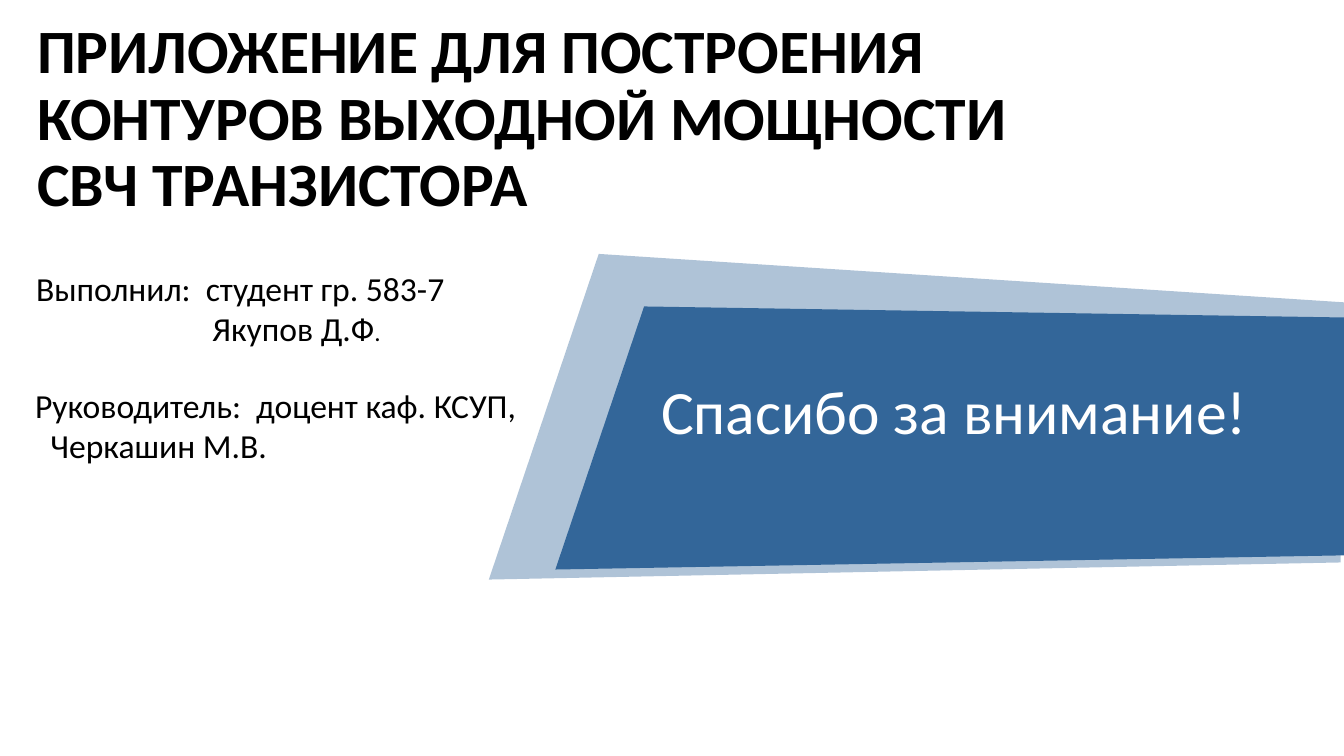
from lxml.etree import SubElement
from pptx import Presentation
from pptx.dml.color import RGBColor
from pptx.enum.text import MSO_ANCHOR as Anchor
from pptx.oxml.ns import qn
from pptx.util import Pt


def rgb(value):
    return RGBColor.from_string(value)


class Deck:
    font = "Calibri"
    blue = "336699"
    black = "000000"
    white = "FFFFFF"

    def __init__(self, width, height):
        self.prs = Presentation()
        self.prs.slide_width, self.prs.slide_height = Pt(width), Pt(height)
        self.s = self.prs.slides.add_slide(self.prs.slide_layouts[6])

    def polygon(self, points, color, opacity=100):
        start, *rest = [(Pt(x), Pt(y)) for x, y in points]
        builder = self.s.shapes.build_freeform(*start)
        builder.add_line_segments(rest, close=True)
        sp = builder.convert_to_shape()
        sp.shadow.inherit = False
        sp.fill.solid()
        sp.fill.fore_color.rgb = rgb(color)
        sp.line.fill.background()
        if opacity < 100:
            clr = sp.fill._xPr.find(".//" + qn("a:srgbClr"))
            SubElement(clr, qn("a:alpha"), val=str(opacity * 1000))

    def text(self, box, paragraphs, color, bold=False, spacing=1.0, anchor=Anchor.TOP):
        tf = self.s.shapes.add_textbox(*map(Pt, box)).text_frame
        tf.word_wrap = True
        tf.vertical_anchor = anchor
        for i, (indent, runs) in enumerate(paragraphs):
            p = tf.add_paragraph() if i else tf.paragraphs[0]
            p.line_spacing = spacing
            if indent:
                p._p.get_or_add_pPr().set("marL", str(Pt(indent)))
            for words, size in runs:
                r = p.add_run()
                r.text = words
                r.font.name, r.font.size, r.font.bold = self.font, Pt(size), bold
                r.font.color.rgb = rgb(color)


def main():
    d = Deck(960, 540)
    d.polygon([(427.7, 181.4), (960, 216), (957.6, 401.8), (349.2, 414)], d.blue, 39)
    d.polygon([(460.1, 218.9), (960, 226.8), (960, 396.7), (396.7, 406.8)], d.blue)
    d.text((465.1, 267.8, 490, 175.7), [(0, [("Спасибо за внимание!", 44)])],
           d.white, spacing=0.93)
    title = "ПРИЛОЖЕНИЕ ДЛЯ ПОСТРОЕНИЯ КОНТУРОВ ВЫХОДНОЙ МОЩНОСТИ СВЧ ТРАНЗИСТОРА"
    d.text((19.4, 10.8, 783.4, 150.5), [(0, [(title, 44)])],
           d.black, bold=True, spacing=0.9, anchor=Anchor.MIDDLE)
    d.text((18.7, 187.9, 352, 65.5),
           [(0, [("Выполнил:  студент гр. 583-7", 24)]),
            (126, [("Якупов Д.Ф", 24), (".", 18)])], d.black)
    d.text((18, 271.4, 374.4, 65.5),
           [(0, [("Руководитель:  доцент каф. КСУП,", 24)]),
            (11, [("Черкашин М.В.", 24)])], d.black)
    d.prs.save("out.pptx")


if __name__ == "__main__":
    main()
